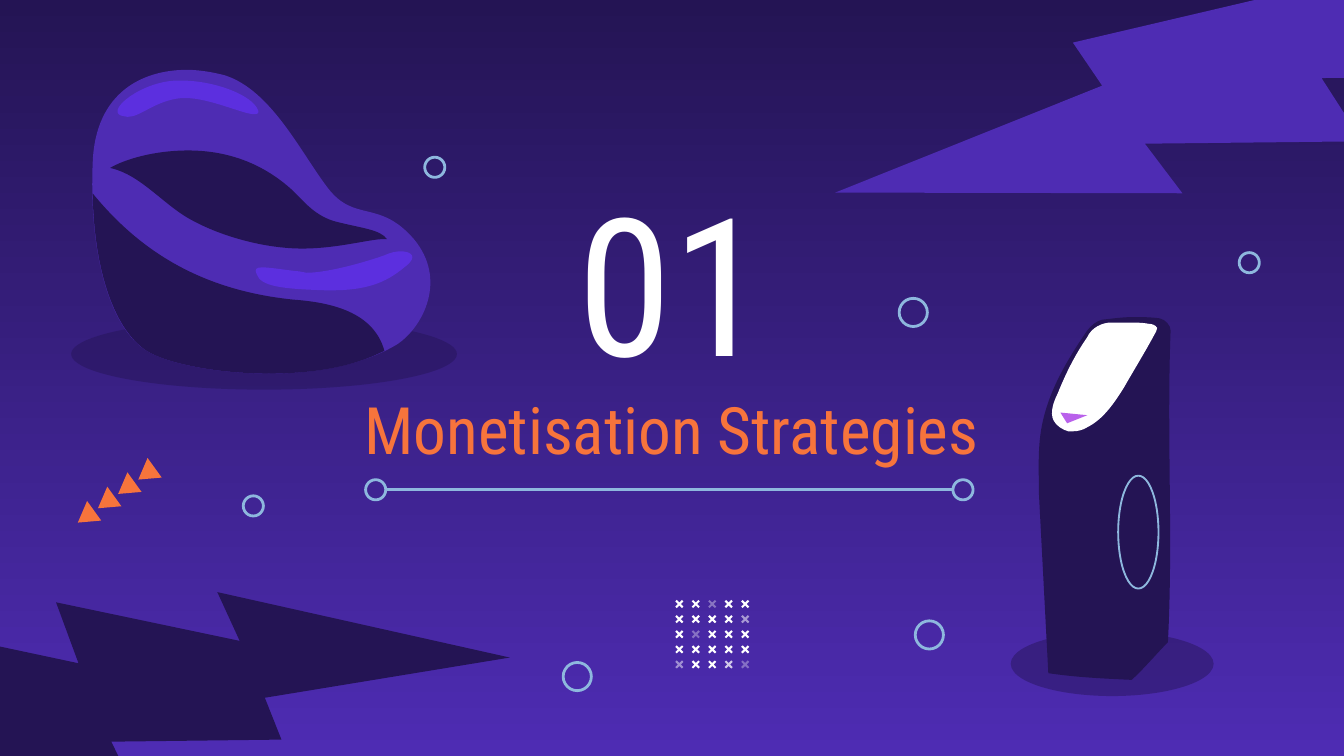
"""Builds the section slide "01 Monetisation Strategies" with a beanbag and a kiosk."""
from dataclasses import dataclass

from lxml import etree
from pptx import Presentation
from pptx import util as u
from pptx.dml.color import RGBColor
from pptx.enum import shapes, text
from pptx.oxml.ns import qn


@dataclass(frozen=True)
class Theme:
    night: str = "241454"
    violet: str = "4E2CB3"
    gloss: str = "5C2FDF"
    sky: str = "8EB8DE"
    orange: str = "F7743C"
    white: str = "FFFFFF"
    orchid: str = "B961EB"
    font: str = "Roboto Condensed"
    number_size: int = 103
    title_size: int = 35
    stroke: float = 1.5


def inch(value):
    return u.Cm(value * 2.54)


class SlidePainter:
    def __init__(self, slide, theme):
        self.slide, self.theme = slide, theme

    def backdrop(self, top, bottom):
        fill = self.slide.background.fill
        fill.gradient()
        fill.gradient_angle = 270
        for stop, color in zip(fill.gradient_stops, (top, bottom)):
            stop.color.rgb = RGBColor.from_string(color)

    def paint(self, part, color, opacity=100):
        part.shadow.inherit = False
        part.fill.solid()
        part.fill.fore_color.rgb = RGBColor.from_string(color)
        part.line.fill.background()
        if opacity < 100:
            tint = part.element.spPr.find(".//" + qn("a:srgbClr"))
            etree.SubElement(tint, qn("a:alpha"), val=str(opacity * 1000))

    def preset(self, kind, box, color, rotation=0, opacity=100, adjust=None, flip=False):
        part = self.slide.shapes.add_shape(kind, *map(inch, box))
        part.rotation = rotation
        if adjust is not None:
            part.adjustments[0] = adjust
        if flip:
            part.element.spPr.xfrm.set("flipH", "1")
        self.paint(part, color, opacity)

    def ring(self, left, top, width, height, stroke=None):
        part = self.slide.shapes.add_shape(
            shapes.MSO_SHAPE.OVAL, *map(inch, (left, top, width, height)))
        part.shadow.inherit = False
        part.fill.background()
        self.stroke(part, stroke or self.theme.stroke)

    def stroke(self, part, width):
        part.line.color.rgb = RGBColor.from_string(self.theme.sky)
        part.line.width = u.Pt(width)

    def outline(self, color, box, start, *segments):
        left, top, width, height = map(inch, box)
        builder = self.slide.shapes.build_freeform(*map(inch, start))
        builder.add_line_segments(
            [(inch(segment[-2]), inch(segment[-1])) for segment in segments], close=True)
        part = builder.convert_to_shape()
        part.left, part.top, part.width, part.height = left, top, width, height
        path = part.element.spPr.find(".//" + qn("a:path"))
        path.set("w", str(width))
        path.set("h", str(height))
        steps = path.findall(qn("a:moveTo")) + path.findall(qn("a:lnTo"))
        for step, segment in zip(steps, (start, *segments)):
            if len(segment) == 6:
                step.tag = qn("a:cubicBezTo")
                curve = etree.Element(qn("a:cubicBezTo"))
                path.replace(step, curve)
                step = curve
            else:
                step.remove(step[0])
            for x, y in zip(segment[::2], segment[1::2]):
                etree.SubElement(step, qn("a:pt"), x=str(inch(x) - left), y=str(inch(y) - top))
        self.paint(part, color)

    def rule(self, x1, y1, x2, y2):
        part = self.slide.shapes.add_connector(
            shapes.MSO_CONNECTOR.STRAIGHT, *map(inch, (x1, y1, x2, y2)))
        self.stroke(part, self.theme.stroke)
        etree.SubElement(part.element.spPr, qn("a:effectLst"))

    def heading(self, words, box, size, color, foot=0.1):
        frame = self.slide.shapes.add_textbox(*map(inch, box)).text_frame
        frame.word_wrap = True
        frame.vertical_anchor = text.MSO_ANCHOR.MIDDLE
        frame.margin_left = frame.margin_right = frame.margin_top = inch(0.1)
        frame.margin_bottom = inch(foot)
        line = frame.paragraphs[0]
        line.alignment = text.PP_ALIGN.CENTER
        run = line.add_run()
        run.text = words
        run.font.name, run.font.size = self.theme.font, u.Pt(size)
        run.font.color.rgb = RGBColor.from_string(color)


def draw_beanbag(painter, theme):
    painter.preset(shapes.MSO_SHAPE.OVAL, (0.53, 2.37, 2.87, 0.53), theme.night, opacity=46)
    painter.outline(
        theme.violet, (0.66, 0.52, 2.68, 2.26), (1.39, 0.52),
        (1.49, 0.52, 1.59, 0.54, 1.67, 0.56), (2.02, 0.67, 2.24, 1.14, 2.44, 1.4),
        (2.64, 1.66, 2.82, 1.48, 3.08, 1.78), (3.33, 2.08, 3.15, 2.43, 2.96, 2.56),
        (2.7, 2.72, 2.34, 2.78, 2, 2.78), (1.6, 2.78, 1.23, 2.7, 1.09, 2.61),
        (0.83, 2.45, 0.66, 1.92, 0.69, 1.21), (0.71, 0.68, 1.07, 0.52, 1.39, 0.52))
    painter.outline(
        theme.night, (0.69, 1.44, 2.17, 1.34), (0.69, 1.44),
        (1.05, 1.88, 1.51, 2.16, 2.18, 2.23), (2.46, 2.25, 2.78, 2.32, 2.86, 2.61),
        (2.61, 2.74, 2.3, 2.78, 2, 2.78), (1.6, 2.78, 1.23, 2.7, 1.09, 2.61),
        (0.86, 2.46, 0.7, 2.03, 0.69, 1.44))
    painter.outline(
        theme.night, (0.82, 1.12, 2.07, 0.73), (1.4, 1.12),
        (1.65, 1.12, 1.93, 1.19, 2.18, 1.42), (2.27, 1.51, 2.35, 1.61, 2.5, 1.65),
        (2.7, 1.7, 2.83, 1.71, 2.88, 1.78), (2.87, 1.78, 2.86, 1.78, 2.85, 1.78),
        (2.75, 1.78, 2.51, 1.85, 2.25, 1.85), (1.97, 1.85, 1.65, 1.76, 1.43, 1.64),
        (1.22, 1.53, 1.05, 1.3, 0.82, 1.25), (0.92, 1.19, 1.14, 1.12, 1.4, 1.12))
    painter.outline(
        theme.gloss, (0.79, 0.6, 1.13, 0.27), (1.35, 0.6),
        (1.6, 0.6, 1.88, 0.71, 1.92, 0.82), (1.93, 0.84, 1.92, 0.85, 1.89, 0.85),
        (1.81, 0.85, 1.56, 0.73, 1.38, 0.73), (1.37, 0.73, 1.36, 0.73, 1.35, 0.73),
        (1.15, 0.75, 1.05, 0.87, 0.95, 0.87), (0.93, 0.87, 0.91, 0.86, 0.9, 0.86),
        (0.79, 0.82, 1.05, 0.61, 1.31, 0.6), (1.32, 0.6, 1.34, 0.6, 1.35, 0.6))
    painter.outline(
        theme.gloss, (1.89, 1.87, 1.22, 0.29), (2.98, 1.87),
        (3.06, 1.87, 3.11, 1.91, 3.02, 1.98), (2.9, 2.08, 2.77, 2.16, 2.47, 2.16),
        (2.45, 2.16, 2.44, 2.16, 2.42, 2.16), (2.09, 2.15, 1.94, 2.13, 1.91, 2.04),
        (1.89, 2, 1.91, 1.99, 1.95, 1.99), (2.02, 1.99, 2.12, 2.01, 2.23, 2.02),
        (2.25, 2.03, 2.26, 2.03, 2.28, 2.03), (2.45, 2.03, 2.75, 1.94, 2.86, 1.9),
        (2.9, 1.88, 2.95, 1.87, 2.98, 1.87))


def draw_kiosk(painter, theme):
    painter.preset(shapes.MSO_SHAPE.OVAL, (7.52, 4.7, 1.51, 0.48), theme.night, opacity=46)
    painter.outline(
        theme.night, (7.72, 2.36, 1.01, 2.7), (8.43, 2.36),
        (8.36, 2.36, 8.29, 2.37, 8.2, 2.38), (8.16, 2.39, 8.12, 2.42, 8.09, 2.46),
        (7.94, 2.68, 7.8, 2.91, 7.75, 3.18), (7.72, 3.34, 7.73, 3.5, 7.73, 3.67),
        (7.8, 5.01), (8, 5.04, 8.2, 5.05, 8.42, 5.06),
        (8.5, 4.99, 8.61, 4.86, 8.69, 4.78), (8.73, 4.01, 8.68, 3.24, 8.71, 2.46),
        (8.71, 2.42, 8.67, 2.38, 8.63, 2.37), (8.56, 2.36, 8.49, 2.36, 8.43, 2.36))
    painter.outline(
        theme.white, (7.81, 2.4, 0.8, 0.81), (8.39, 2.4),
        (8.35, 2.4, 8.31, 2.4, 8.28, 2.4), (8.28, 2.4, 8.28, 2.4, 8.27, 2.4),
        (8.2, 2.4, 8.12, 2.44, 8.09, 2.51), (8, 2.64, 7.93, 2.78, 7.87, 2.93),
        (7.84, 2.99, 7.81, 3.07, 7.84, 3.13), (7.86, 3.17, 7.91, 3.2, 7.95, 3.21),
        (7.96, 3.21, 7.97, 3.21, 7.98, 3.21), (8.02, 3.21, 8.06, 3.2, 8.09, 3.18),
        (8.21, 3.12, 8.29, 3, 8.36, 2.89), (8.44, 2.75, 8.52, 2.62, 8.59, 2.49),
        (8.6, 2.47, 8.61, 2.46, 8.61, 2.44), (8.6, 2.42, 8.57, 2.41, 8.55, 2.41),
        (8.5, 2.4, 8.44, 2.4, 8.39, 2.4))
    painter.ring(8.32, 3.54, 0.3, 0.84, stroke=1)
    painter.outline(theme.orchid, (7.89, 3.07, 0.2, 0.08), (7.89, 3.07), (7.94, 3.15), (8.09, 3.09))


def draw_ornaments(painter, theme):
    for left, top, size in ((3.16, 1.17, 0.15), (1.81, 3.69, 0.15), (9.22, 1.88, 0.15),
                            (6.69, 2.22, 0.21), (6.81, 4.62, 0.21), (4.19, 4.93, 0.21)):
        painter.ring(left, top, size, size)
    for step in range(4):
        painter.preset(shapes.MSO_SHAPE.ISOSCELES_TRIANGLE,
                       (1 - 0.15 * step, 3.45 + 0.32 * step / 3, 0.18, 0.15),
                       theme.orange, rotation=234.2)
    faded = {(0, 2): 36, (1, 4): 53, (2, 1): 34, (4, 0): 48, (4, 3): 75, (4, 4): 33}
    for row in range(5):
        for column in range(5):
            painter.preset(shapes.MSO_SHAPE.CROSS,
                           (5.02 + 0.49 * column / 4, 4.46 + 0.45 * row / 4, 0.07, 0.07),
                           theme.white, rotation=315, adjust=0.39,
                           opacity=faded.get((row, column), 100))


def main():
    theme = Theme()
    deck = Presentation()
    deck.slide_width, deck.slide_height = u.Cm(25.4), u.Cm(14.29)
    painter = SlidePainter(deck.slides.add_slide(deck.slide_layouts[6]), theme)
    bolt = shapes.MSO_SHAPE.LIGHTNING_BOLT
    painter.backdrop(theme.night, theme.violet)
    painter.preset(bolt, (6.98, -1.41, 4.17, 4.17), theme.violet, rotation=30.1, flip=True)
    painter.heading("01", (3.79, 1.47, 2.43, 1.22), theme.number_size, theme.white)
    painter.heading("Monetisation Strategies", (1.95, 2.78, 6.1, 1.97),
                    theme.title_size, theme.orange, foot=1.25)
    draw_beanbag(painter, theme)
    draw_kiosk(painter, theme)
    painter.preset(bolt, (-0.55, 3.2, 3.6, 3.6), theme.night, rotation=222.6, flip=True)
    knob, knob_top = 0.15, 3.57
    rule_height = knob_top + knob / 2
    painter.rule(7.09, rule_height, 2.88, rule_height)
    for left in (2.72, 7.09):
        painter.ring(left, knob_top, knob, knob)
    draw_ornaments(painter, theme)
    deck.save("out.pptx")


if __name__ == "__main__":
    main()
